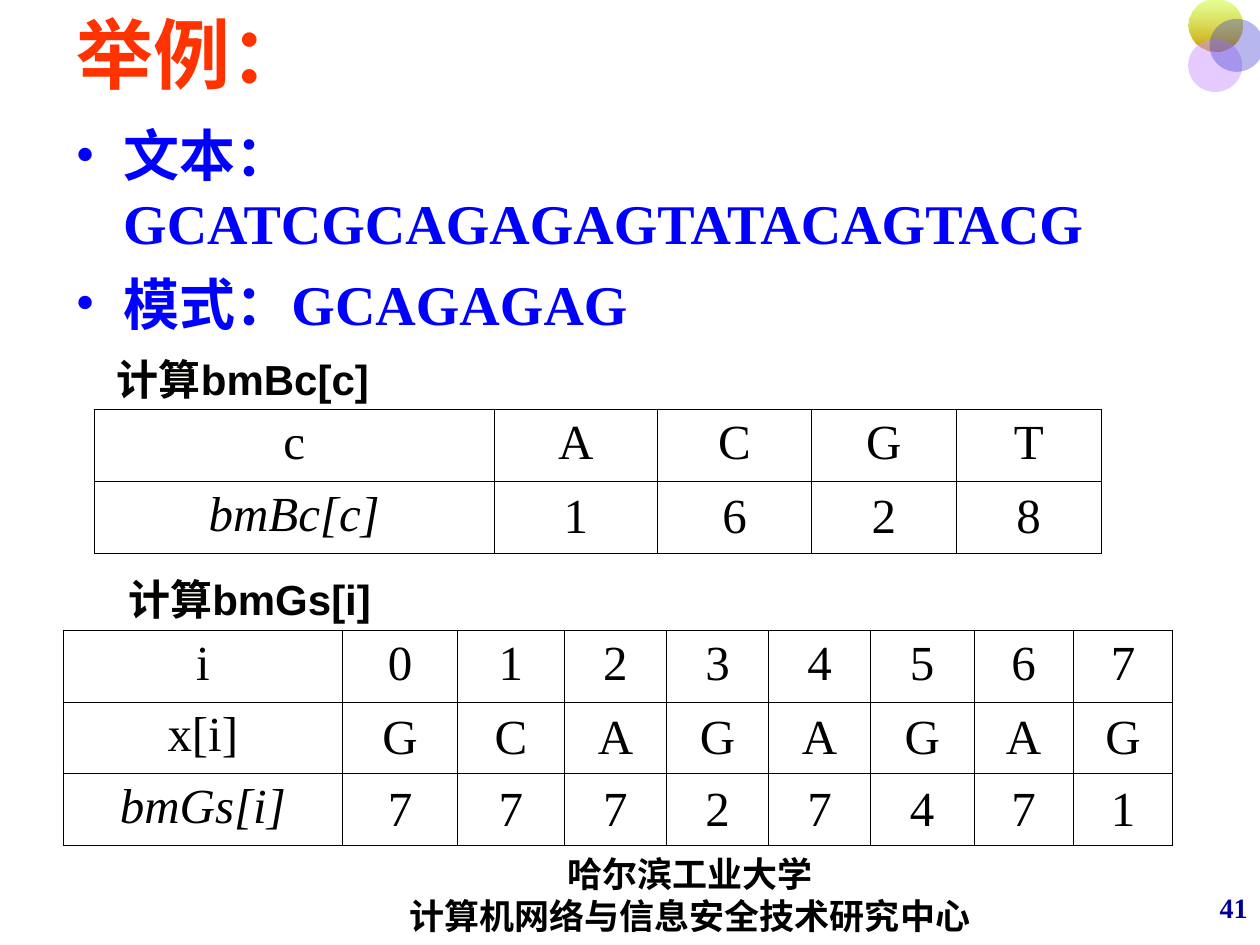
from typing import NamedTuple, Optional

import pptx
import pptx.dml.color
import pptx.enum.shapes
import pptx.enum.text
import pptx.oxml
import pptx.oxml.ns
import pptx.util

Inches = pptx.util.Inches
Pt = pptx.util.Pt
RGBColor = pptx.dml.color.RGBColor
Align = pptx.enum.text.PP_ALIGN
Anchor = pptx.enum.text.MSO_ANCHOR

BLACK = RGBColor(0x00, 0x00, 0x00)
CAPTION_BLACK = RGBColor(0x03, 0x03, 0x01)
BLUE = RGBColor(0x00, 0x00, 0xFF)
NAVY = RGBColor(0x00, 0x00, 0x99)
ORANGE = RGBColor(0xFF, 0x33, 0x00)
LIME = RGBColor(0xCC, 0xFF, 0x33)
GOLD = RGBColor(0xCC, 0x99, 0x00)
LILAC = RGBColor(0xCC, 0x99, 0xFF)
INDIGO = RGBColor(0x33, 0x33, 0xCC)

SERIF = "Times New Roman"
SANS = "Arial"
OUTER_LINE = 0.45
INNER_LINE = 0.34


class Frame(NamedTuple):
    left: float
    top: float
    width: float
    height: float


class Style(NamedTuple):
    size: float
    color: RGBColor
    font: str = SERIF
    bold: bool = True
    italic: bool = False


class Circle(NamedTuple):
    left: float
    top: float
    color: RGBColor
    opacity: int
    end_color: Optional[RGBColor] = None


class Grid(NamedTuple):
    caption: str
    caption_frame: Frame
    left: float
    top: float
    columns: list[float]
    rows: list[list[str]]


CIRCLES = [
    Circle(9.43, -0.01, LIME, 50, GOLD),
    Circle(9.43, 0.31, LILAC, 50),
    Circle(9.6, 0.15, INDIGO, 35),
]
GRIDS = [
    Grid("计算bmBc[c]", Frame(0.83, 2.83, 8, 0.42), 0.75, 3.25,
         [3.17, 1.3, 1.22, 1.15, 1.15],
         [["c", *"ACGT"], ["bmBc[c]", *"1628"]]),
    Grid("计算bmGs[i]", Frame(0.92, 4.58, 8, 0.42), 0.5, 5,
         [2.22, 0.91, 0.85, 0.81, 0.81, 0.81, 0.82, 0.79, 0.79],
         [["i", *"01234567"], ["x[i]", *"GCAGAGAG"], ["bmGs[i]", *"77727471"]]),
]
ROW_HEIGHT = 0.57


def add_span(para, text: str, style: Style) -> None:
    span = para.add_run()
    span.text = text
    span.font.name = style.font
    span.font.size = Pt(style.size)
    span.font.bold = style.bold
    span.font.italic = style.italic
    span.font.color.rgb = style.color


def add_text(page, frame: Frame, lines: list[str], style: Style,
             align=Align.LEFT, anchor=Anchor.TOP, wrap: bool = True):
    """Add a text box with one paragraph per line and return its text frame."""
    body = page.shapes.add_textbox(*map(Inches, frame)).text_frame
    body.word_wrap = wrap
    body.vertical_anchor = anchor
    for index, line in enumerate(lines):
        para = body.add_paragraph() if index else body.paragraphs[0]
        para.alignment = align
        add_span(para, line, style)
    return body


def add_bullet(para, color: RGBColor) -> None:
    properties = para._p.get_or_add_pPr()
    properties.set("marL", str(Inches(0.38)))
    properties.set("indent", str(Inches(-0.38)))
    namespace = pptx.oxml.ns.nsdecls("a")
    for markup in (
        f'<a:buClr {namespace}><a:srgbClr val="{color}"/></a:buClr>',
        f'<a:buFont {namespace} typeface="{SERIF}"/>',
        f'<a:buChar {namespace} char="•"/>',
    ):
        properties.append(pptx.oxml.parse_xml(markup))


def add_circle(page, circle: Circle) -> None:
    shape = page.shapes.add_shape(
        pptx.enum.shapes.MSO_SHAPE.OVAL,
        Inches(circle.left), Inches(circle.top), Inches(0.43), Inches(0.42))
    shape.shadow.inherit = False
    shape.line.fill.background()
    if circle.end_color is None:
        shape.fill.solid()
        shape.fill.fore_color.rgb = circle.color
    else:
        shape.fill.gradient()
        shape.fill.gradient_angle = 270
        start, end = shape.fill.gradient_stops
        start.color.rgb, start.position = circle.color, 0
        end.color.rgb, end.position = circle.end_color, 1
    first_color = shape.element.spPr.xpath(".//a:srgbClr")[0]
    first_color.append(pptx.oxml.parse_xml(
        f'<a:alpha {pptx.oxml.ns.nsdecls("a")} val="{circle.opacity * 1000}"/>'))


def set_borders(cell, outer_sides: dict[str, bool]) -> None:
    """Draw each side of a cell, slightly heavier on the table's outer edge."""
    properties = cell._tc.get_or_add_tcPr()
    for side, is_outer in outer_sides.items():
        width = Pt(OUTER_LINE if is_outer else INNER_LINE)
        properties.append(pptx.oxml.parse_xml(
            f'<a:ln{side} {pptx.oxml.ns.nsdecls("a")} w="{width}"><a:solidFill>'
            f'<a:srgbClr val="{BLACK}"/></a:solidFill></a:ln{side}>'))


def add_grid(page, grid: Grid) -> None:
    row_count, column_count = len(grid.rows), len(grid.columns)
    table = page.shapes.add_table(
        row_count, column_count, Inches(grid.left), Inches(grid.top),
        Inches(sum(grid.columns)), Inches(ROW_HEIGHT * row_count)).table
    table.first_row = table.horz_banding = False
    for column, width in zip(table.columns, grid.columns):
        column.width = Inches(width)
    for r, values in enumerate(grid.rows):
        table.rows[r].height = Inches(ROW_HEIGHT)
        for c, value in enumerate(values):
            cell = table.cell(r, c)
            set_borders(cell, {"L": c == 0, "R": c == column_count - 1,
                               "T": r == 0, "B": r == row_count - 1})
            cell.fill.background()
            cell.vertical_anchor = Anchor.MIDDLE if r and c else Anchor.TOP
            para = cell.text_frame.paragraphs[0]
            para.alignment = Align.CENTER
            add_span(para, value, Style(28, BLACK, bold=False,
                                        italic=value.startswith("bm")))
    caption = add_text(page, grid.caption_frame, [grid.caption],
                       Style(24, CAPTION_BLACK, SANS))
    caption.paragraphs[0].line_spacing = 0.8


def add_title(page, frame: Frame, text: str) -> None:
    title = page.shapes.title
    title.left, title.top, title.width, title.height = map(Inches, frame)
    title.text_frame.auto_size = pptx.enum.text.MSO_AUTO_SIZE.NONE
    title.text_frame.vertical_anchor = Anchor.MIDDLE
    para = title.text_frame.paragraphs[0]
    para.alignment = Align.LEFT
    add_span(para, text, Style(44, ORANGE))


def main() -> None:
    deck = pptx.Presentation()
    deck.slide_width, deck.slide_height = Inches(10), Inches(7.5)
    page = deck.slides.add_slide(deck.slide_layouts[5])

    add_text(page, Frame(9.22, 6.95, 0.78, 0.5), ["41"], Style(16, NAVY),
             Align.RIGHT, Anchor.MIDDLE)
    add_text(page, Frame(2.56, 6.74, 5.83, 0.71),
             ["哈尔滨工业大学", "计算机网络与信息安全技术研究中心"],
             Style(20, BLACK), Align.CENTER, Anchor.MIDDLE, wrap=False)
    for circle in CIRCLES:
        add_circle(page, circle)

    add_title(page, Frame(0.51, 0, 9, 0.84), "举例：")
    strings = add_text(page, Frame(0.5, 0.91, 9, 5.78),
                       ["文本：GCATCGCAGAGAGTATACAGTACG", "模式：GCAGAGAG"],
                       Style(32, BLUE))
    for para in strings.paragraphs:
        add_bullet(para, BLUE)
    strings.paragraphs[1].space_before = Pt(8)

    for grid in GRIDS:
        add_grid(page, grid)
    deck.save("out.pptx")


if __name__ == "__main__":
    main()
